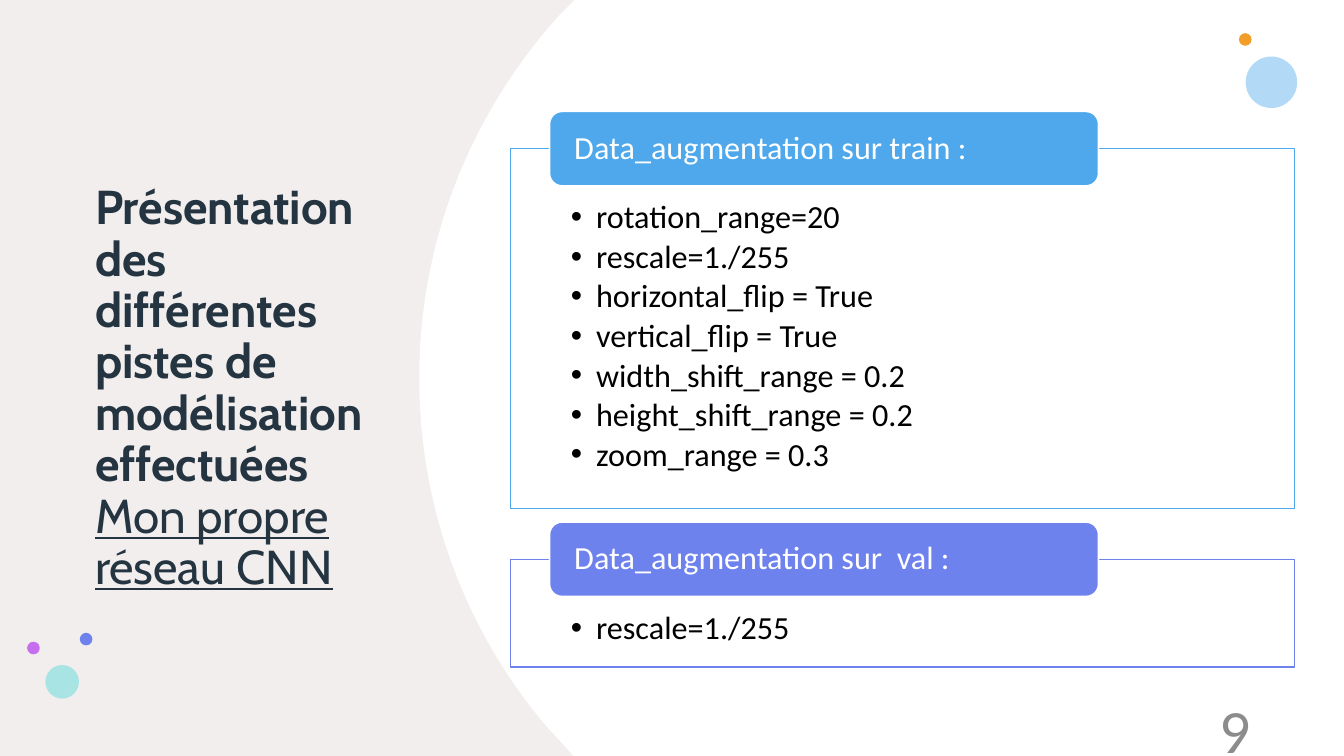
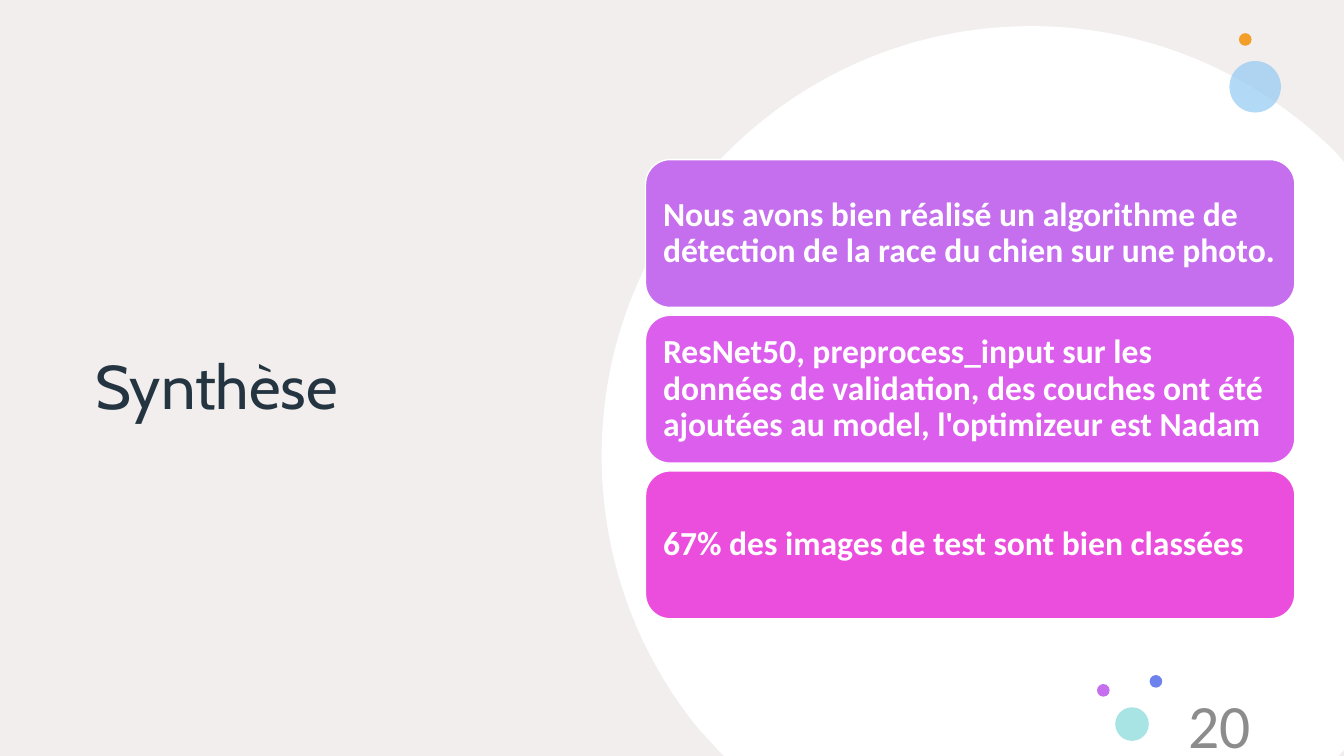
from lxml import etree
from pptx import Presentation
from pptx.dml.color import RGBColor
from pptx.enum.shapes import MSO_SHAPE as Shape
from pptx.enum.text import MSO_ANCHOR as Anchor, PP_ALIGN as Align
from pptx.oxml.ns import qn
from pptx.util import Pt

# Content
AUGMENTATION = {
    "number": "9",
    "title": ["Présentation des différentes pistes de modélisation effectuées",
              "Mon propre réseau CNN"],
    "panels": [
        # heading, colour, top, height, items
        ("Data_augmentation sur train :", "blue", 106.3, 257,
         ["rotation_range=20", "rescale=1./255", "horizontal_flip = True",
          "vertical_flip = True", "width_shift_range = 0.2",
          "height_shift_range = 0.2", "zoom_range = 0.3"]),
        ("Data_augmentation sur  val :", "indigo", 399.6, 77,
         ["rescale=1./255"]),
    ],
}
SUMMARY = {
    "number": "20",
    "title": ["Synthèse"],
    "cards": [
        ("Nous avons bien réalisé un algorithme de détection de la race du "
         "chien sur une photo.", "violet"),
        ("ResNet50, preprocess_input sur les données de validation, des "
         "couches ont été ajoutées au model, l'optimizeur est Nadam", "orchid"),
        ("67% des images de test sont bien classées", "pink"),
    ],
}

# White discs cut off at the slide edges: a step holding one point is a line,
# a step holding three points is a Bezier curve
LEFT_ARC = [
    [(410.4, 0)], [(960, 0)], [(960, 540)], [(409.7, 540)], [(388.1, 516.2)],
    [(332.6, 449.3), (299.5, 363.6), (299.5, 270)],
    [(299.5, 169.9), (337.7, 79.2), (400.3, 10.1)],
]
ROUND_ARC = [
    [(736.6, 18.7)],
    [(821.5, 18.7), (897.8, 53.3), (954, 108.7)],
    [(960, 115.9)], [(960, 535.7)], [(956.2, 540)], [(517, 540)],
    [(499.7, 521.3)],
    [(455.8, 468), (429.8, 399.6), (429.8, 325.4)],
    [(429.8, 156.2), (567.4, 18.7), (736.6, 18.7)],
]

# Shared style
COLORS = {
    "backdrop": "F2EEEE", "white": "FFFFFF", "black": "000000",
    "title": "243541", "number": "8C8C8C", "sky": "95CBF3",
    "orange": "F39E29", "teal": "A9E4E5", "blue": "4EA8EB",
    "indigo": "6E82EE", "violet": "C56EEE", "orchid": "DC5EEC",
    "pink": "EB4EDC",
}
TITLE_FONT, BODY_FONT = "Cabin", "Calibri"
WIDTH, HEIGHT = 960, 540
SMALL_DOT, MEDIUM_DOT, LARGE_DOT = 9, 24, 36.8
# Trio of dots: offset from its corner, diameter, colour
DOT_TRIO = [(37.6, 0, SMALL_DOT, "indigo"), (13, 23, MEDIUM_DOT, "teal"),
            (0, 6.4, SMALL_DOT, "violet")]


def color(name):
    return RGBColor.from_string(COLORS[name])


def paint(shape, fill, line=None):
    shape.shadow.inherit = False
    shape.fill.solid()
    shape.fill.fore_color.rgb = color(fill)
    if line:
        shape.line.color.rgb = color(line)
        shape.line.width = Pt(1)
    else:
        shape.line.fill.background()


def add_shape(page, kind, left, top, width, height, fill, line=None):
    shape = page.shapes.add_shape(kind, Pt(left), Pt(top), Pt(width), Pt(height))
    paint(shape, fill, line)
    return shape


def set_frame(shape, anchor, insets=(7.2, 3.6, 7.2, 3.6)):
    frame = shape.text_frame
    frame.word_wrap = True
    frame.vertical_anchor = anchor
    (frame.margin_left, frame.margin_top,
     frame.margin_right, frame.margin_bottom) = map(Pt, insets)
    return frame


def set_style(para, size, tint, name=BODY_FONT, bold=None, align=Align.LEFT,
              spacing=0.9):
    para.alignment = align
    para.line_spacing = spacing
    font = para.font
    font.size, font.name, font.bold = Pt(size), name, bold
    font.color.rgb = color(tint)


def add_bullet(para):
    props = para._p.get_or_add_pPr()
    props.set("marL", str(Pt(18)))
    props.set("indent", str(-Pt(18)))
    etree.SubElement(props, qn("a:buFont")).set("typeface", "Arial")
    etree.SubElement(props, qn("a:buChar")).set("char", "•")


def add_dot(page, left, top, size, tint):
    return add_shape(page, Shape.OVAL, left, top, size, size, tint)


def add_disc(page, steps):
    points = [(Pt(x), Pt(y)) for step in steps for x, y in step]
    builder = page.shapes.build_freeform(*points[0])
    builder.add_line_segments(points[1:], close=True)
    disc = builder.convert_to_shape()
    paint(disc, "white")

    # Join the three points of each curve into one Bezier segment
    lines = iter(list(disc._element.iter(qn("a:lnTo"))))
    for step in steps[1:]:
        segment = [next(lines) for _ in step]
        if len(step) == 3:
            curve = etree.Element(qn("a:cubicBezTo"))
            segment[0].addprevious(curve)
            for line in segment:
                curve.append(line[0])
                line.getparent().remove(line)


def add_page(deck, content, disc, large_dot, trio, title_width, title_size):
    page = deck.slides.add_slide(deck.slide_layouts[6])
    page.background.fill.solid()
    page.background.fill.fore_color.rgb = color("backdrop")
    add_disc(page, disc)

    # Dots
    large = add_dot(page, *large_dot, LARGE_DOT, "sky")
    tint = large._element.spPr.find(".//" + qn("a:srgbClr"))
    etree.SubElement(tint, qn("a:alpha")).set("val", "72000")
    add_dot(page, 885, 23.7, SMALL_DOT, "orange")
    for x, y, size, name in DOT_TRIO:
        add_dot(page, trio[0] + x, trio[1] + y, size, name)

    # Title: a bold heading when an underlined subtitle follows it
    box = page.shapes.add_textbox(Pt(60.8), Pt(75), Pt(title_width), Pt(406))
    para = set_frame(box, Anchor.MIDDLE).paragraphs[0]
    set_style(para, title_size, "title", TITLE_FONT)
    heading, *subtitles = content["title"]
    span = para.add_run()
    span.text = heading
    span.font.bold = bool(subtitles)
    for subtitle in subtitles:
        para.add_line_break()
        span = para.add_run()
        span.text = subtitle
        span.font.underline = True
    return page


def add_number(page, number, spacing):
    box = page.shapes.add_textbox(Pt(684.7), Pt(511.2), Pt(216), Pt(18.7))
    para = set_frame(box, Anchor.MIDDLE).paragraphs[0]
    para.text = number
    set_style(para, 44, "number", align=Align.RIGHT, spacing=spacing)


def add_panel(page, heading, tint, top, height, items):
    panel = add_shape(page, Shape.RECTANGLE, 364.6, top, 560.2, height,
                      "white", tint)
    frame = set_frame(panel, Anchor.TOP, (43.2, 37.4, 43.2, 13))
    for index, item in enumerate(items):
        para = frame.add_paragraph() if index else frame.paragraphs[0]
        para.text = item
        para.space_after = Pt(3.4)
        add_bullet(para)
        set_style(para, 23, "black")

    tab = add_shape(page, Shape.ROUNDED_RECTANGLE, 392.6, top - 26.6, 392, 53,
                    tint, "white")
    para = set_frame(tab, Anchor.MIDDLE, (15, 0, 15, 0)).paragraphs[0]
    para.text = heading
    set_style(para, 23, "white")


def add_cards(page, cards, top=114, height=105.6, pitch=111.2):
    for index, (text, tint) in enumerate(cards):
        card = add_shape(page, Shape.ROUNDED_RECTANGLE, 461.1, top + index * pitch,
                         463.8, height, tint, "white")
        frame = set_frame(card, Anchor.MIDDLE, (7.4, 7.2, 7.2, 7.2))
        para = frame.paragraphs[0]
        para.text = text
        set_style(para, 24, "white", bold=True)


def main():
    deck = Presentation()
    deck.slide_width, deck.slide_height = Pt(WIDTH), Pt(HEIGHT)

    # Data augmentation
    page = add_page(deck, AUGMENTATION, LEFT_ARC, large_dot=(889.8, 40.4),
                    trio=(19.4, 452), title_width=225.4, title_size=34)
    for panel in AUGMENTATION["panels"]:
        add_panel(page, *panel)
    add_number(page, AUGMENTATION["number"], spacing=1)

    # Summary
    page = add_page(deck, SUMMARY, ROUND_ARC, large_dot=(878.2, 43.6),
                    trio=(783.6, 482.2), title_width=363, title_size=44)
    add_cards(page, SUMMARY["cards"])
    add_number(page, SUMMARY["number"], spacing=0.9)

    deck.save("out.pptx")


if __name__ == "__main__":
    main()
